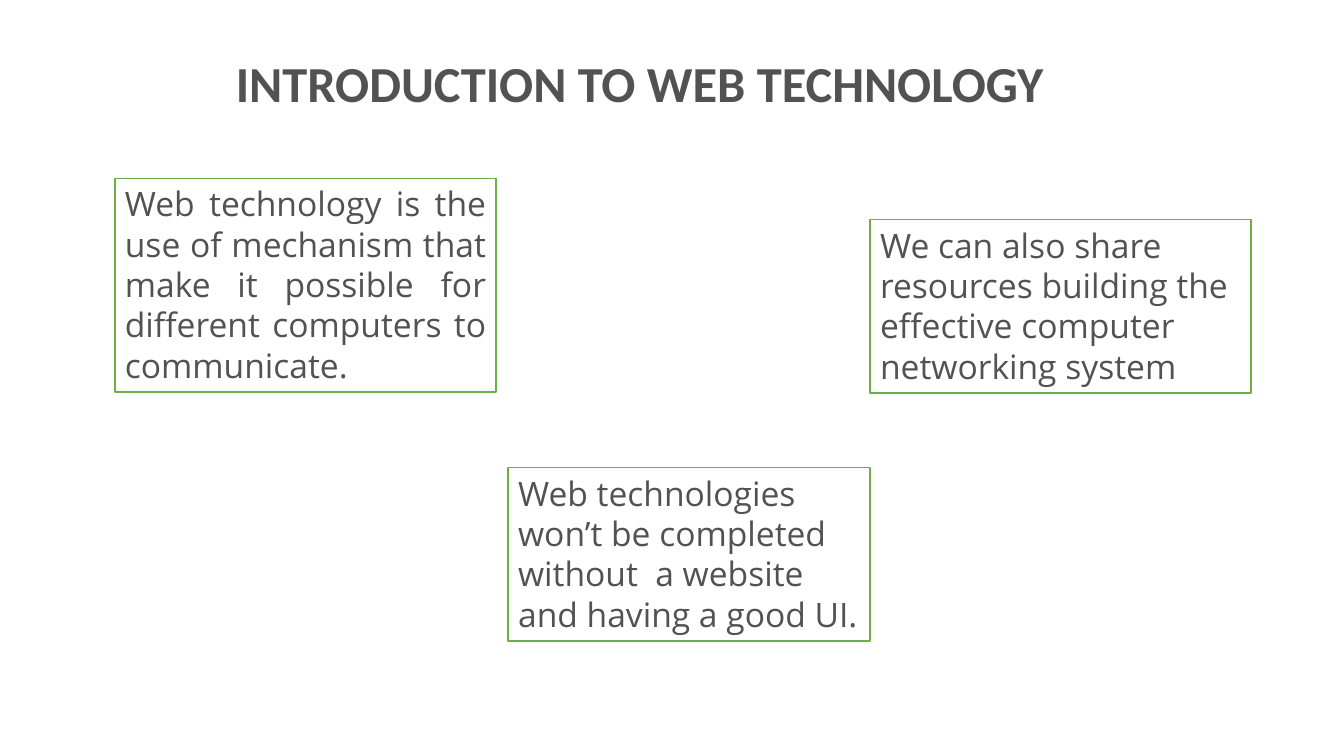
from dataclasses import dataclass

from pptx import Presentation
from pptx import util as u
from pptx.dml.color import RGBColor
from pptx.enum import shapes, text
from pptx.slide import Slide

PX = 9144  # EMU in one px, 100 px to the inch


@dataclass(frozen=True)
class Theme:
    ink: str = "525252"
    paper: str = "FFFFFF"
    edge: str = "70AD47"
    head: str = "Calibri"
    body: str = "Open Sans"
    big: int = 36
    mid: int = 24
    rule: int = 1


@dataclass(frozen=True)
class Card:
    left: int
    top: int
    width: int
    height: int
    words: str
    align: text.PP_ALIGN = text.PP_ALIGN.LEFT


THEME = Theme()
TITLE = Card(224, 47, 851, 71, "INTRODUCTION TO WEB TECHNOLOGY")
CARDS = [
    Card(114, 177, 378, 212,
         "Web technology is the use of mechanism that make it possible "
         "for different computers to communicate.", text.PP_ALIGN.JUSTIFY),
    Card(863, 218, 378, 172,
         "We can also share resources building the effective computer "
         "networking system"),
    Card(504, 464, 359, 172,
         "Web technologies won’t be completed without  a website "
         "and having a good UI."),
]


def place(card: Card) -> list[u.Emu]:
    return [u.Emu(n * PX) for n in (card.left, card.top, card.width, card.height)]


def write(shape, card: Card, face: str, size: int, bold: bool = False) -> None:
    frame = shape.text_frame
    frame.word_wrap = True
    frame.auto_size = text.MSO_AUTO_SIZE.SHAPE_TO_FIT_TEXT
    frame.vertical_anchor = text.MSO_ANCHOR.TOP
    para = frame.paragraphs[0]
    para.alignment = card.align
    run = para.add_run()
    run.text = card.words
    for key, value in {"name": face, "size": u.Pt(size), "bold": bold}.items():
        setattr(run.font, key, value)
    run.font.color.rgb = RGBColor.from_string(THEME.ink)


def draw_title(slide: Slide, card: Card) -> None:
    box = slide.shapes.add_textbox(*place(card))
    write(box, card, THEME.head, THEME.big, bold=True)


def draw_card(slide: Slide, card: Card) -> None:
    box = slide.shapes.add_shape(shapes.MSO_SHAPE.RECTANGLE, *place(card))
    box.shadow.inherit = False
    box.fill.solid()
    box.fill.fore_color.rgb = RGBColor.from_string(THEME.paper)
    box.line.color.rgb = RGBColor.from_string(THEME.edge)
    box.line.width = u.Pt(THEME.rule)
    write(box, card, THEME.body, THEME.mid)


def main() -> None:
    deck = Presentation()
    deck.slide_width, deck.slide_height = u.Emu(1333 * PX), u.Emu(750 * PX)
    slide = deck.slides.add_slide(deck.slide_layouts[6])
    draw_title(slide, TITLE)
    for card in CARDS:
        draw_card(slide, card)
    deck.save("out.pptx")


if __name__ == "__main__":
    main()
